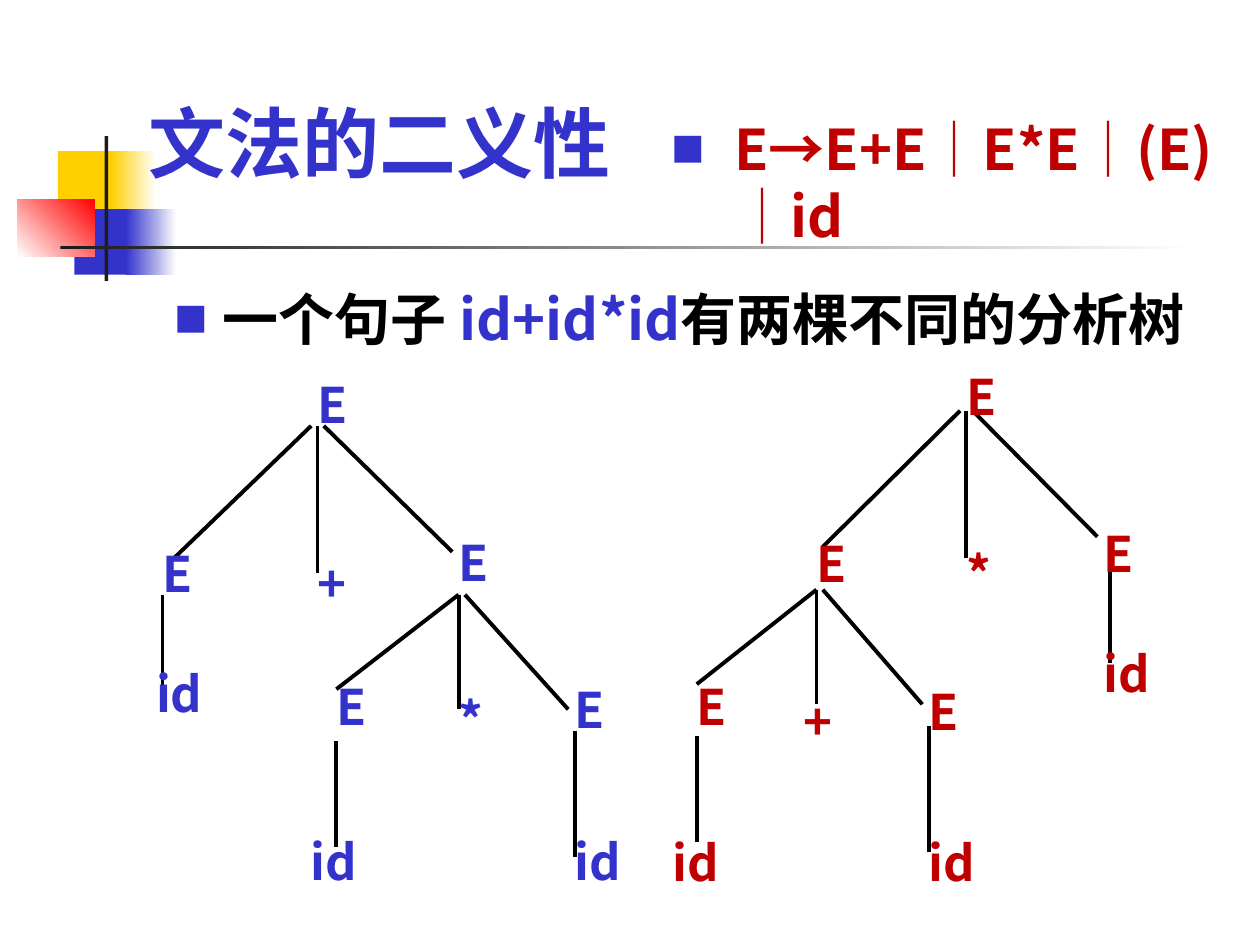
from lxml.etree import SubElement
from pptx import Presentation
from pptx.dml.color import RGBColor
from pptx.enum.shapes import MSO_CONNECTOR, MSO_SHAPE
from pptx.enum.text import MSO_ANCHOR
from pptx.oxml.ns import qn
from pptx.util import Inches, Pt

COLS, ROWS = 100, 75
BLUE, RED, BLACK, WHITE = "3333CC", "C00000", "000000", "FFFFFF"
YELLOW, BRIGHT_RED, DARK = "FFCF01", "FF0000", "1C1C1C"
SANS, ROBOTO, SERIF = "Noto Sans CJK SC", "Roboto", "Times New Roman"


def rgb(value):
    return RGBColor.from_string(value)


class Deck:
    def __init__(self):
        self.prs = Presentation()
        self.prs.slide_width, self.prs.slide_height = Inches(10), Inches(7.5)
        self.s = self.prs.slides.add_slide(self.prs.slide_layouts[6])

    def x(self, col):
        return int(self.prs.slide_width * col / COLS)

    def y(self, row):
        return int(self.prs.slide_height * row / ROWS)

    def box(self, left, top, width, height):
        return self.x(left), self.y(top), self.x(width), self.y(height)

    def rect(self, place, color, end=None, angle=0):
        sp = self.s.shapes.add_shape(MSO_SHAPE.RECTANGLE, *self.box(*place))
        sp.shadow.inherit = False
        sp.line.fill.background()
        if end is None:
            sp.fill.solid()
            sp.fill.fore_color.rgb = rgb(color)
            return
        sp.fill.gradient()
        sp.fill.gradient_angle = angle
        for stop, value in zip(sp.fill.gradient_stops, (color, end)):
            stop.color.rgb = rgb(value)

    def text(self, place, runs, size, spacing=1.0, indent=None, anchor=MSO_ANCHOR.TOP):
        sp = self.s.shapes.add_textbox(*self.box(*place))
        tf = sp.text_frame
        for name, value in {"word_wrap": True, "vertical_anchor": anchor}.items():
            setattr(tf, name, value)
        p = tf.paragraphs[0]
        p.line_spacing = spacing
        if indent:
            self.bullet(p, indent)
        for words, font, color in runs:
            r = p.add_run()
            r.text = words
            for name, value in {"name": font, "size": Pt(size), "bold": True}.items():
                setattr(r.font, name, value)
            r.font.color.rgb = rgb(color)
            SubElement(r.font._element, qn("a:ea"), typeface=SANS)

    def bullet(self, p, indent):
        pPr = p._p.get_or_add_pPr()
        pPr.set("marL", str(self.x(indent)))
        pPr.set("indent", str(-self.x(indent)))
        SubElement(SubElement(pPr, qn("a:buClr")), qn("a:srgbClr"), val=BLUE)
        SubElement(pPr, qn("a:buSzPct"), val="60000")
        SubElement(pPr, qn("a:buFont"), typeface=SANS)
        SubElement(pPr, qn("a:buChar"), char="■")

    def line(self, x1, y1, x2, y2):
        c = self.s.shapes.add_connector(
            MSO_CONNECTOR.STRAIGHT, self.x(x1), self.y(y1), self.x(x2), self.y(y2))
        c.line.width = Pt(2.25)
        c.line.color.rgb = rgb(BLACK)
        SubElement(c._element.spPr, qn("a:effectLst"))

    def tree(self, color, width, nodes, fans, stems):
        for (left, mid, right), top, ends in fans:
            for start, (x, y) in zip((left, mid, right), ends):
                self.line(start, top, x, y)
        for x, top, bottom in stems:
            self.line(x, top, x, bottom)
        for words, left, top in nodes:
            leaf = words == "id"
            self.text((left, top, width, 5.6 if leaf else 6.1),
                      [(words, SANS, color)], 28, 1.0 if leaf else 1.1)


def main():
    deck = Deck()
    for place, *fill in (
        ((4.6, 12, 4.8, 5.2), YELLOW),
        ((8.8, 12, 3.6, 5.2), YELLOW, WHITE),
        ((5.9, 16.6, 4.6, 5.2), BLUE),
        ((10, 16.6, 4, 5.2), BLUE, WHITE),
        ((1.4, 15.8, 6.1, 4.6), WHITE, BRIGHT_RED, 45),
        ((8.3, 10.8, 0.3, 11.5), DARK),
        ((4.8, 19.5, 90, 0.3), DARK, WHITE),
    ):
        deck.rect(place, *fill)

    deck.text((10.8, 5, 89.2, 12.5), [("文法的二义性", SERIF, BLUE)], 44,
              anchor=MSO_ANCHOR.MIDDLE)
    deck.tree(
        RED, 7.4,
        [("E", 75.7, 28.1), ("E", 63.8, 41.4), ("*", 75.7, 42.2), ("E", 86.6, 40.6),
         ("id", 86.6, 50.6), ("E", 54.3, 52.7), ("E", 72.7, 53.1), ("+", 62.8, 53.9),
         ("id", 72.7, 65.6), ("id", 52.4, 65.6)],
        [((76.2, 76.7, 77.2), 32.6, ((65.3, 43.4), (76.7, 44.3), (87.1, 42.6))),
         ((64.8, 64.8, 65.3), 46.8, ((55.3, 54.3), (64.8, 55.9), (73.2, 55.9)))],
        [(55.3, 58.4, 66.8), (73.7, 57.6, 67.6), (88.1, 45.1, 52.6)])
    deck.tree(
        BLUE, 7.7,
        [("E", 24.2, 28.8), ("E", 11.9, 42.2), ("+", 24.2, 43), ("E", 35.4, 41.3),
         ("E", 25.7, 52.7), ("E", 44.6, 53), ("id", 11.4, 52.2), ("*", 35.4, 53.8),
         ("id", 44.6, 65.5), ("id", 23.7, 65.5)],
        [((24.7, 25.2, 25.7), 33.8, ((13.4, 44.7), (25.2, 45.5), (35.9, 43.8))),
         ((36.4, 36.4, 36.9), 47.2, ((26.7, 54.7), (36.4, 56.3), (45.1, 56.3)))],
        [(26.7, 58.8, 67.2), (45.6, 58, 68), (12.9, 47.2, 54.7)])
    deck.text((12.9, 22.1, 85, 8.4),
              [("一个句子 ", ROBOTO, BLACK), ("id+id*id", SANS, BLUE),
               ("有两棵不同的分析树", ROBOTO, BLACK)], 32, indent=3.8)
    deck.text((52.3, 8.6, 47.3, 8.5), [("E→E+E│E*E│(E)│id", SANS, RED)], 32, indent=5)
    deck.prs.save("out.pptx")


if __name__ == "__main__":
    main()
